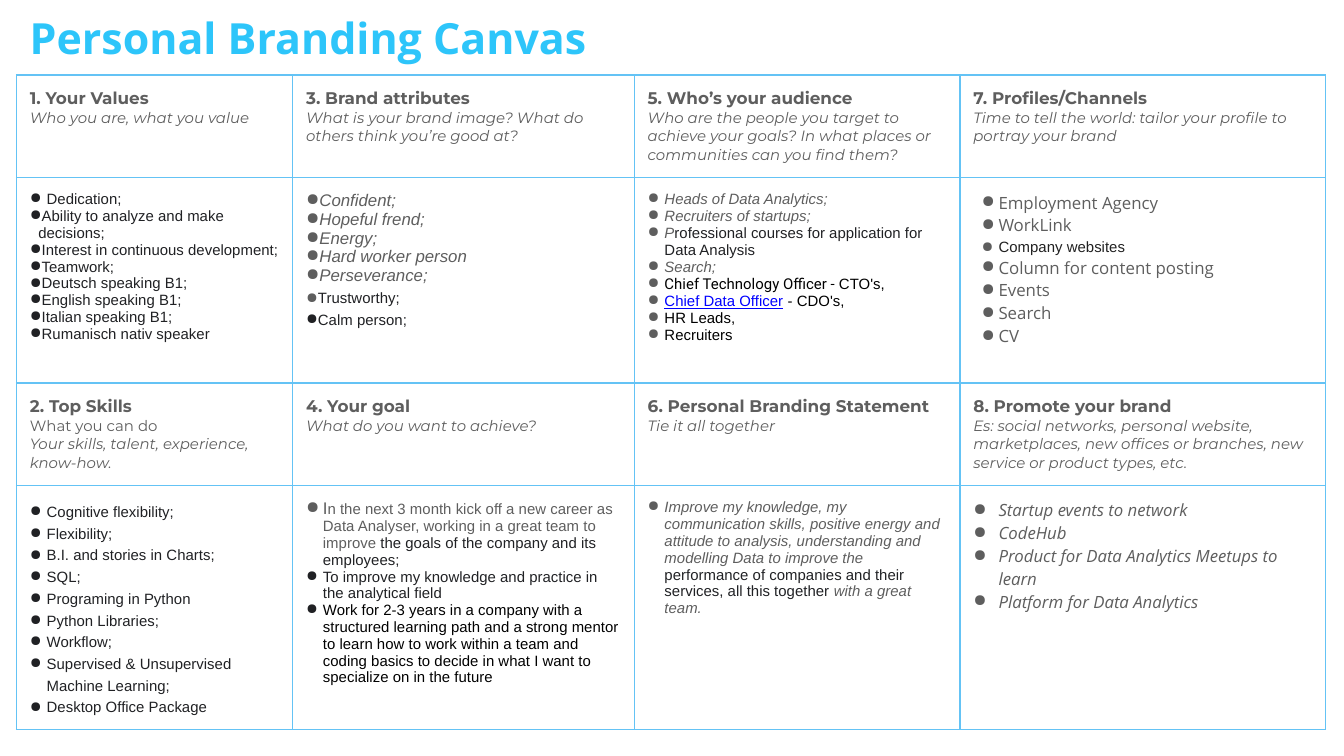
from lxml import etree
from pptx import Presentation
from pptx.dml.color import RGBColor
from pptx.oxml.ns import qn
from pptx.util import Pt

GREY, INK, BLACK = "5E5E5E", "202124", "000000"
EDGE, SKY, LINK = "64C3F5", "2DC5FA", "0000FF"
HEAD, BODY, OPEN = "Montserrat", "Arial", "Open Sans"
COLS = [148, 183, 174.5, 196]
ROWS = [55, 110, 55, 130]

DARK = dict(color=INK)
SOFT = dict(color=GREY, italic=True)
JET = dict(color=BLACK)
WEB = dict(color=GREY, font=OPEN, size=9)

HEADS = {
    (0, 0): ["1. Your Values", "Who you are, what you value"],
    (0, 1): ["3. Brand attributes",
             "What is your brand image? What do others think you’re good at?"],
    (0, 2): ["5. Who’s your audience",
             "Who are the people you target to achieve your goals? "
             "In what places or communities can you find them?"],
    (0, 3): ["7. Profiles/Channels",
             "Time to tell the world: tailor your profile to portray your brand"],
    (2, 0): ["2. Top Skills", "Your skills, talent, experience, know-how.",
             "What you can do"],
    (2, 1): ["4. Your goal", "What do you want to achieve?"],
    (2, 2): ["6. Personal Branding Statement", "Tie it all together"],
    (2, 3): ["8. Promote your brand",
             "Es: social networks, personal website, marketplaces, "
             "new offices or branches, new service or product types, etc."],
}

TIGHT = dict(left=4.5, hang=4.5)
WIDE = dict(left=9, hang=9)
INSET = dict(left=13.5, hang=9)
DEEP = dict(left=13.5, hang=13.5)

LISTS = {
    (1, 0): [
        (["Dedication;"], dict(WIDE, mark=INK), DARK),
        (["Ability to analyze and make decisions;",
          "Interest in continuous development;", "Teamwork;",
          "Deutsch speaking B1;", "English speaking B1;",
          "Italian speaking B1;", "Rumanisch nativ speaker"],
         dict(TIGHT, mark=INK), DARK),
    ],
    (1, 1): [
        (["Confident;", "Hopeful frend;", "Energy;", "Hard worker person",
          "Perseverance;"], TIGHT, dict(SOFT, size=9)),
        (["Trustworthy;"], dict(TIGHT, line=1.29), DARK),
        (["Calm person;"], dict(TIGHT, line=1.29, mark=INK), DARK),
    ],
    (1, 2): [
        (["Heads of Data Analytics;", "Recruiters of startups;",
          [("P", SOFT),
           ("rofessional courses for application for Data Analysis", DARK)],
          "Search;"], WIDE, SOFT),
        ([[("Chief Technology Officer - ", dict(JET, font="Roboto")),
           ("CTO's,", JET)],
          [("Chief Data Officer", dict(color=LINK, line=True)),
           (" - CDO's,", JET)],
          "HR Leads,", "Recruiters"], WIDE, JET),
    ],
    (1, 3): [
        (["Employment Agency", "WorkLink"], INSET, WEB),
        (["Company websites"], dict(INSET, line=1.15), dict(color="212121")),
        (["Column for content posting", "Events", "Search", "CV"], INSET, WEB),
    ],
    (3, 0): [
        (["Cognitive flexibility;", "Flexibility;",
          "B.I. and stories in Charts;", "SQL;", "Programing in Python",
          "Python Libraries;", "Workflow;",
          "Supervised & Unsupervised Machine Learning;",
          "Desktop Office Package"], dict(WIDE, line=1.29, mark=INK), DARK),
    ],
    (3, 1): [
        ([[("I", dict(color=GREY, size=9)),
           ("n the next 3 month kick off a new career as Data Analyser, "
            "working in a great team to improve", dict(color=GREY)),
           (" the goals of the company and its employees;", DARK)]], WIDE, DARK),
        (["To improve my knowledge and practice in the analytical field",
          [("Work for 2-3 years in a company with a structured learning path "
            "and a strong mentor to learn how to work within a team and coding "
            "basics to decide in what I want to specialize on in the future",
            JET)]], dict(WIDE, mark=INK), DARK),
    ],
    (3, 2): [
        ([[("Improve my knowledge, my communication skills, positive energy "
            "and attitude to analysis, understanding and modelling Data to "
            "improve the ", SOFT),
           ("performance of companies and their services, all this together ",
            DARK),
           ("with a great team.", SOFT)]], WIDE, SOFT),
    ],
    (3, 3): [
        (["Startup events to network", "CodeHub",
          "Product for Data Analytics Meetups to learn",
          "Platform for Data Analytics"], DEEP, dict(WEB, italic=True)),
    ],
}


def paint(color, value):
    color.rgb = RGBColor.from_string(value)


def write(para, text, font=BODY, size=8, color=GREY, bold=False,
          italic=False, line=False):
    run = para.add_run()
    run.text = text
    face = run.font
    face.name, face.size = font, Pt(size)
    face.bold, face.italic, face.underline = bold, italic, line
    paint(face.color, color)


def new_para(frame):
    first = frame.paragraphs[0]
    return frame.add_paragraph() if first.runs else first


def pad(frame):
    frame.margin_left = frame.margin_right = Pt(7.2)
    frame.margin_top = frame.margin_bottom = Pt(7.2)


def add_head(frame, title, hint, lead=None):
    write(new_para(frame), title, font=HEAD, size=9, bold=True)
    if lead:
        write(new_para(frame), lead, font=HEAD)
    write(new_para(frame), hint, font=HEAD, italic=True)


def add_mark(para, left, hang, mark=GREY, line=None):
    if line:
        para.line_spacing = line
    props = para._p.get_or_add_pPr()
    props.set("marL", str(Pt(left)))
    props.set("indent", str(-Pt(hang)))
    tint = etree.SubElement(props, qn("a:buClr"))
    etree.SubElement(tint, qn("a:srgbClr"), val=mark)
    etree.SubElement(props, qn("a:buChar"), char="●")


def add_list(frame, items, layout, style):
    for item in items:
        para = new_para(frame)
        add_mark(para, **layout)
        runs = [(item, style)] if isinstance(item, str) else item
        for text, look in runs:
            write(para, text, **look)


def frame_cell(cell):
    pad(cell)
    props = cell._tc.get_or_add_tcPr()
    for side in ("lnL", "lnR", "lnT", "lnB"):
        edge = etree.SubElement(props, qn("a:" + side), w=str(Pt(0.75)))
        fill = etree.SubElement(edge, qn("a:solidFill"))
        etree.SubElement(fill, qn("a:srgbClr"), val=EDGE)
    cell.fill.background()


def add_grid(slide):
    grid = slide.shapes.add_table(
        len(ROWS), len(COLS), Pt(8.8), Pt(40.2),
        Pt(sum(COLS)), Pt(sum(ROWS))).table
    grid.first_row = grid.horz_banding = False
    for col, width in zip(grid.columns, COLS):
        col.width = Pt(width)
    for row, height in zip(grid.rows, ROWS):
        row.height = Pt(height)
    for cell in grid.iter_cells():
        frame_cell(cell)
    for spot, texts in HEADS.items():
        add_head(grid.cell(*spot).text_frame, *texts)
    for spot, groups in LISTS.items():
        for group in groups:
            add_list(grid.cell(*spot).text_frame, *group)


def add_title(slide):
    box = slide.shapes.add_textbox(Pt(8.8), Pt(-0.7), Pt(541.5), Pt(39))
    frame = box.text_frame
    frame.word_wrap = True
    pad(frame)
    write(new_para(frame), "Personal Branding Canvas",
          font=OPEN, size=23, color=SKY, bold=True)


def main():
    deck = Presentation()
    deck.slide_width, deck.slide_height = Pt(720), Pt(405)
    slide = deck.slides.add_slide(deck.slide_layouts[6])
    add_grid(slide)
    add_title(slide)
    deck.save("out.pptx")


if __name__ == "__main__":
    main()
